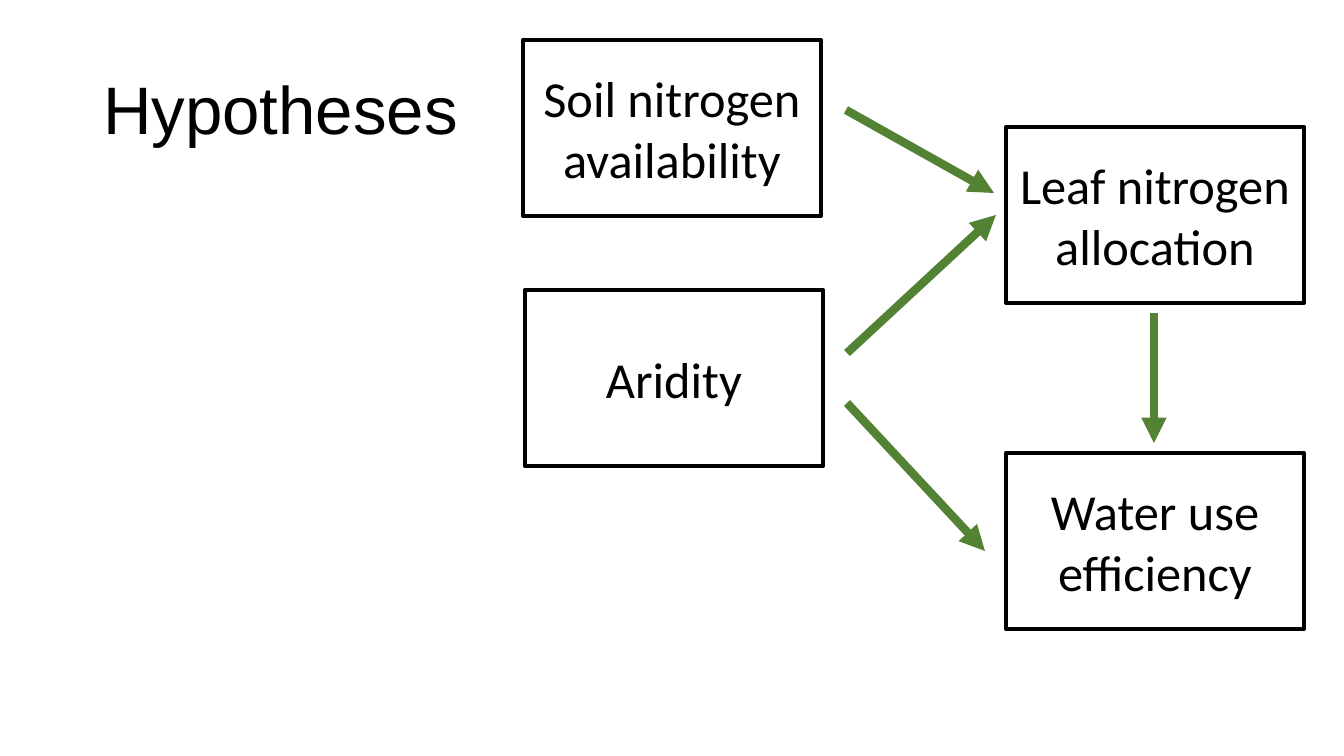
from lxml.etree import SubElement
from pptx import Presentation
from pptx.dml.color import RGBColor
from pptx.enum.shapes import MSO_CONNECTOR as Connector, MSO_SHAPE as Shape
from pptx.enum.text import MSO_ANCHOR as Anchor, PP_ALIGN as Align
from pptx.oxml.ns import qn
from pptx.util import Pt

COLORS = {"ink": "000000", "arrow": "548235"}
EMU_PER_PX = 914400 / 100.8


def px(*lengths):
    return [round(length * EMU_PER_PX) for length in lengths]


def set_font(para, name, size):
    para.font.name = name
    para.font.size = Pt(size)
    para.font.color.rgb = RGBColor.from_string(COLORS["ink"])


deck = Presentation()
deck.slide_width, deck.slide_height = px(1344, 756)
slide = deck.slides.add_slide(deck.slide_layouts[5])

# Title
title = slide.shapes.title
title.left, title.top, title.width, title.height = px(93, 40, 1159, 146)
title.text_frame.text = "Hypotheses"
title.text_frame.vertical_anchor = Anchor.MIDDLE
para = title.text_frame.paragraphs[0]
para.alignment = Align.LEFT
para.line_spacing = 0.9
set_font(para, "Arial", 48)

# Concept boxes, all of one size
BOX_WIDTH, BOX_HEIGHT = 298, 176
concepts = [
    ("Leaf nitrogen allocation", 1006, 127),
    ("Water use efficiency", 1006, 453),
    ("Aridity", 525, 290),
    ("Soil nitrogen availability", 523, 40),
]
for label, left, top in concepts:
    box = slide.shapes.add_shape(Shape.RECTANGLE, *px(left, top, BOX_WIDTH, BOX_HEIGHT))
    box.shadow.inherit = False
    box.fill.background()
    box.line.color.rgb = RGBColor.from_string(COLORS["ink"])
    box.line.width = Pt(3)
    frame = box.text_frame
    frame.word_wrap = True
    frame.vertical_anchor = Anchor.MIDDLE
    frame.text = label
    para = frame.paragraphs[0]
    para.alignment = Align.CENTER
    set_font(para, "Calibri", 36)

# Arrows from cause to effect
arrows = [
    (846, 110, 994, 193),  # soil nitrogen to leaf nitrogen
    (847, 353, 996, 215),  # aridity to leaf nitrogen
    (847, 403, 985, 551),  # aridity to water use
    (1154, 313, 1154, 443),  # leaf nitrogen to water use
]
for ends in arrows:
    arrow = slide.shapes.add_connector(Connector.STRAIGHT, *px(*ends))
    arrow.line.color.rgb = RGBColor.from_string(COLORS["arrow"])
    arrow.line.width = Pt(6)
    SubElement(arrow.line._get_or_add_ln(), qn("a:tailEnd"), type="triangle")
    SubElement(arrow._element.spPr, qn("a:effectLst"))

deck.save("out.pptx")
